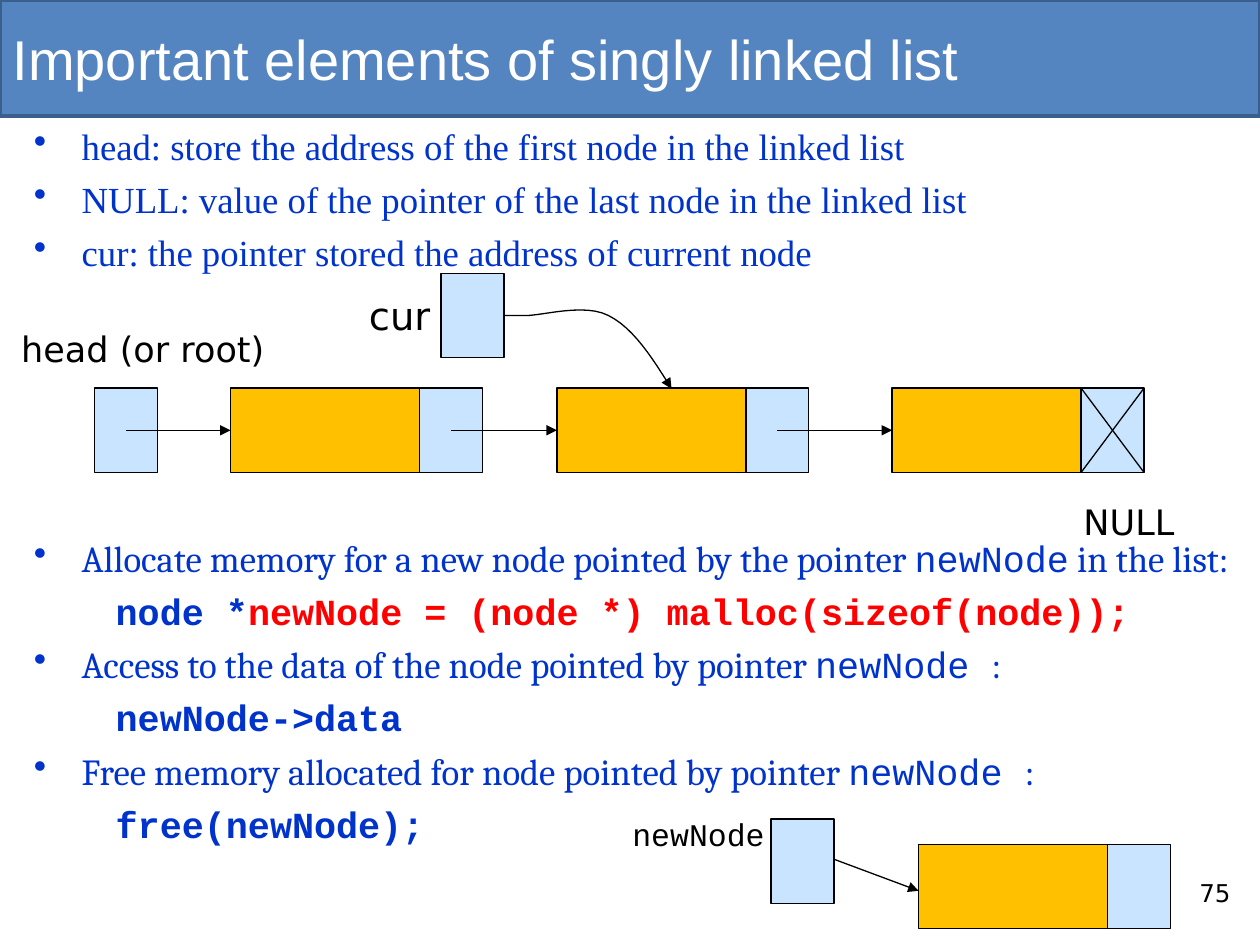
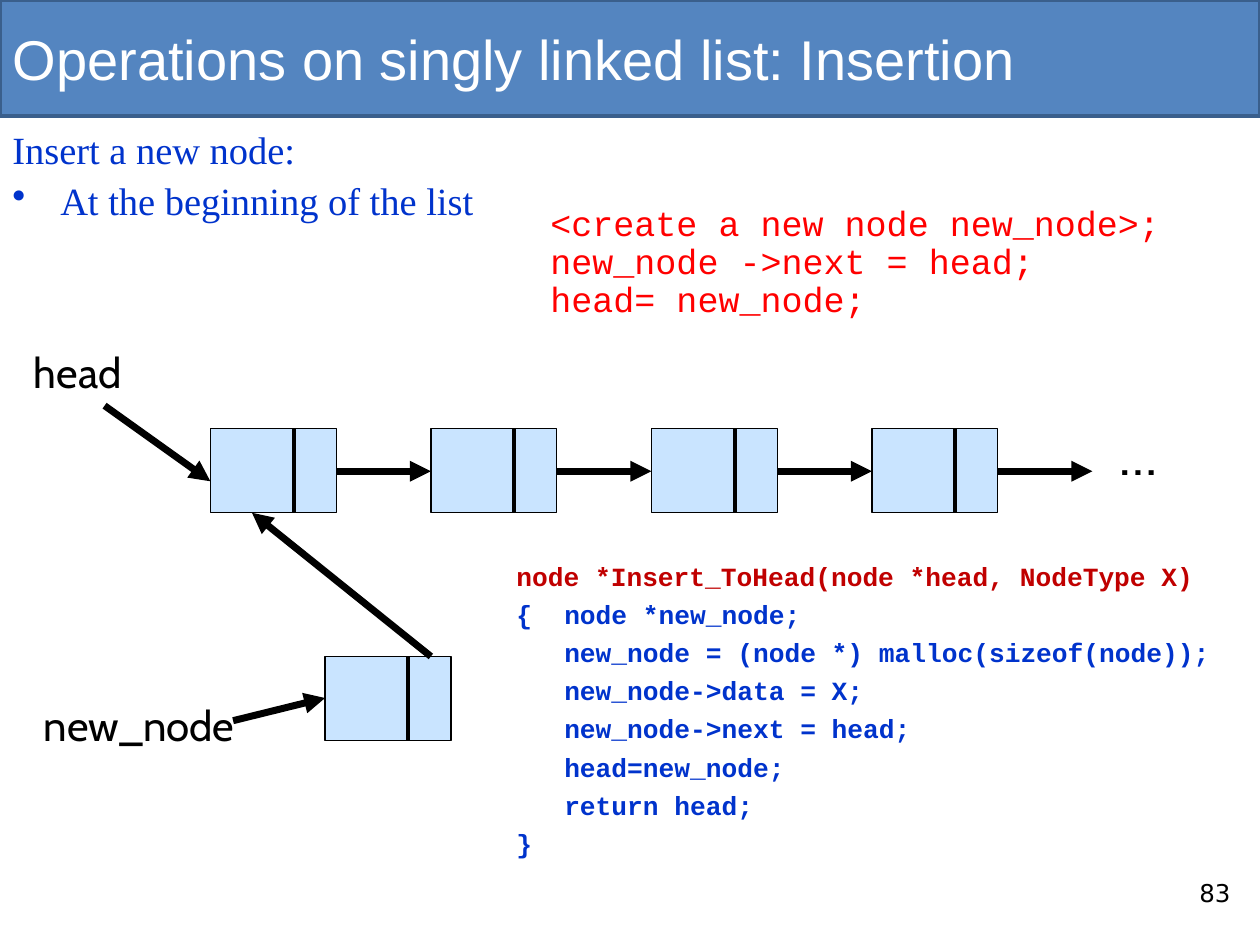
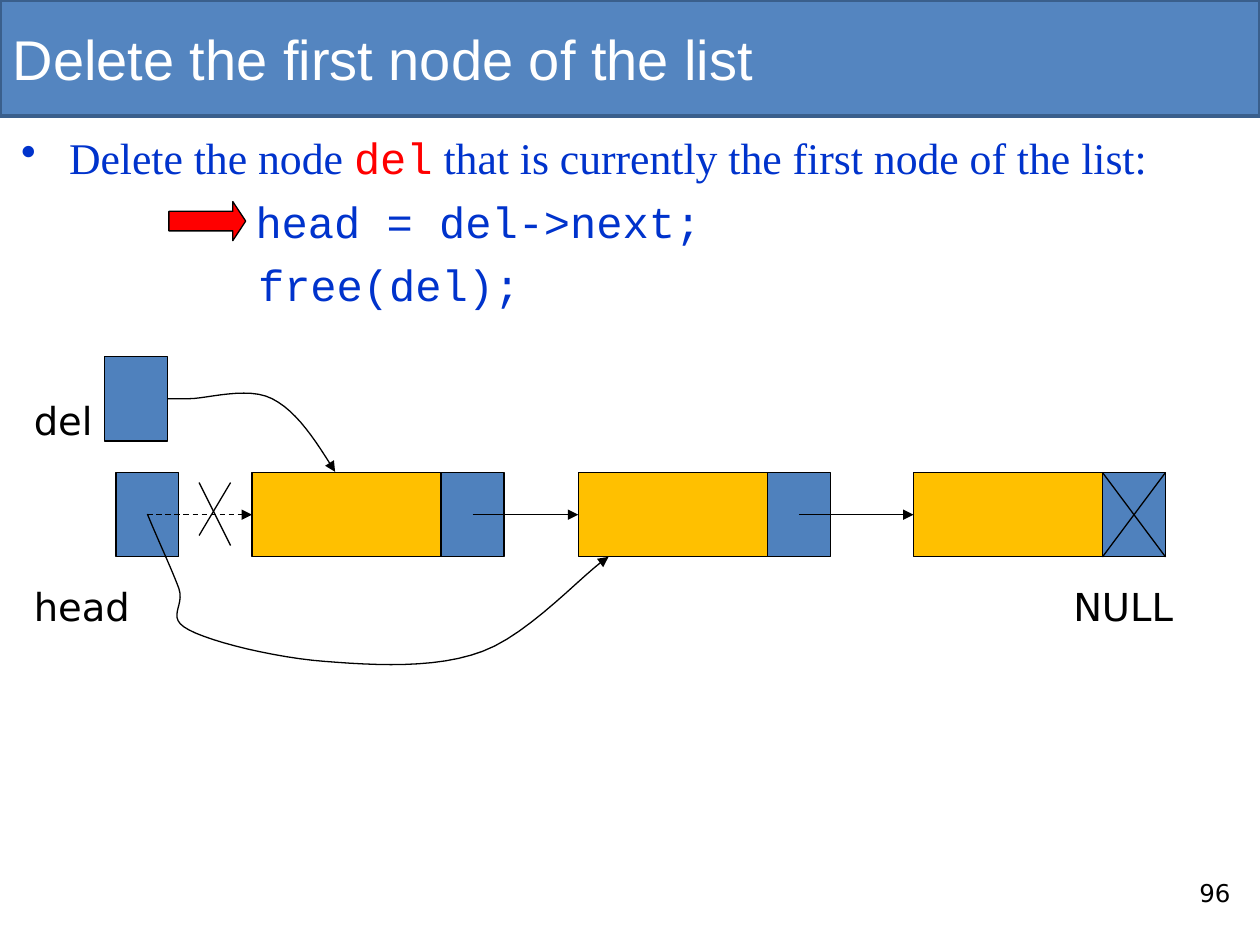
from dataclasses import dataclass
from itertools import pairwise

from lxml.etree import SubElement
from pptx import Presentation
from pptx.dml.color import RGBColor
from pptx.enum.dml import MSO_LINE
from pptx.enum.shapes import MSO_CONNECTOR, MSO_SHAPE
from pptx.enum.text import MSO_ANCHOR, PP_ALIGN
from pptx.oxml.ns import qn
from pptx.util import Inches, Pt

BAND, BAND_EDGE = "5485C0", "3A5F8C"
BLUE, RED, DARK_RED = "0033CC", "FF0000", "C00000"
BLACK, WHITE = "000000", "FFFFFF"
ORANGE, PALE, STEEL = "FFC000", "C9E4FF", "4F81BD"
SERIF, BOOK, MONO = "Times New Roman", "Cambria", "Courier New"
SANS, ROUND, TITLE = "DejaVu Sans", "Cabin", "Arial"

HANG = 0.38
BAND_BOX = (0, 0, 10, 0.92)
DATA_WIDTH, POINTER_WIDTH, NODE_HEIGHT = 1.5, 0.5, 0.67
NODE_OFFSETS = (1.08, 3.67, 6.33)
LINK_CURVE = [(0, 0), (0.01, 0), (0.03, 0), (0.17, 0), (0.31, 0), (0.64, -0.1),
              (0.83, 0), (1.03, 0.1), (1.18, 0.34), (1.33, 0.58)]
HEAD_CURVE = [(1.17, 4.08), (1.26, 4.3), (1.36, 4.51), (1.42, 4.67),
              (1.47, 4.82), (1.31, 4.9), (1.5, 5), (1.69, 5.1), (2.19, 5.22),
              (2.58, 5.25), (2.97, 5.28), (3.46, 5.31), (3.83, 5.17),
              (4.21, 5.03), (4.65, 4.53), (4.83, 4.42)]


@dataclass
class Run:
    text: str
    font: str = SERIF
    color: str = BLUE
    bold: bool = False


@dataclass
class Line:
    runs: list
    indent: float = 0
    hanging: float = 0
    bullet: bool = False


def rgb(color):
    return RGBColor.from_string(color)


def bulleted(*runs):
    return Line(runs, HANG, HANG, True)


def bezier_points(controls, steps=12):
    points = [controls[0]]
    for first in range(0, len(controls) - 1, 3):
        ends = controls[first:first + 4]
        for step in range(1, steps + 1):
            t = step / steps
            weights = ((1 - t) ** 3, 3 * t * (1 - t) ** 2, 3 * t * t * (1 - t), t ** 3)
            points.append(tuple(sum(w * end[axis] for w, end in zip(weights, ends))
                                for axis in (0, 1)))
    return points


class Deck:
    def __init__(self):
        self.presentation = Presentation()
        self.presentation.slide_width = Inches(10)
        self.presentation.slide_height = Inches(7.5)
        self.layout = self.presentation.slide_layouts[5]
        self.slide = None

    def start(self, title, number):
        first = self.slide is None
        self.slide = self.presentation.slides.add_slide(self.layout)
        if first:
            band = self.box(*BAND_BOX, BAND, BAND_EDGE, 2)
            self.layout.shapes.element.insert(2, band.element)
        shape = self.slide.shapes.title
        shape.left, shape.top, shape.width, shape.height = map(Inches, BAND_BOX)
        shape.text_frame.vertical_anchor = MSO_ANCHOR.MIDDLE
        paragraph = shape.text_frame.paragraphs[0]
        paragraph.alignment = PP_ALIGN.LEFT
        self.add_run(paragraph, Run(title, TITLE, WHITE), 32)
        self.label(9.42, 6.92, 0.5, 0.4, number, 14)

    def add_run(self, paragraph, content, size):
        run = paragraph.add_run()
        run.text = content.text
        run.font.name = content.font
        run.font.size = Pt(size)
        run.font.bold = content.bold
        run.font.color.rgb = rgb(content.color)

    def text(self, x, y, width, height, lines, size, spacing=None, gap=0.25):
        shape = self.slide.shapes.add_textbox(*map(Inches, (x, y, width, height)))
        frame = shape.text_frame
        frame.word_wrap = True
        for index, line in enumerate(lines):
            paragraph = frame.add_paragraph() if index else frame.paragraphs[0]
            properties = paragraph._p.get_or_add_pPr()
            properties.set("marL", str(Inches(line.indent)))
            properties.set("indent", str(Inches(-line.hanging)))
            if line.bullet:
                SubElement(properties, qn("a:buChar"), char="•")
            if index:
                paragraph.space_before = Pt(size * gap)
            if spacing:
                paragraph.line_spacing = spacing
            for run in line.runs:
                self.add_run(paragraph, run, size)

    def label(self, x, y, width, height, text, size, font=SANS):
        self.text(x, y, width, height, [Line([Run(text, font, BLACK)])], size)

    def box(self, x, y, width, height, fill, edge=BLACK, weight=0.75,
            kind=MSO_SHAPE.RECTANGLE):
        shape = self.slide.shapes.add_shape(kind, *map(Inches, (x, y, width, height)))
        shape.shadow.inherit = False
        shape.fill.solid()
        shape.fill.fore_color.rgb = rgb(fill)
        self.stroke(shape, weight, color=edge)
        return shape

    def stroke(self, shape, weight=0.75, arrow=False, dashed=False, color=BLACK):
        shape.line.color.rgb = rgb(color)
        shape.line.width = Pt(weight)
        if dashed:
            shape.line.dash_style = MSO_LINE.DASH
        if arrow:
            SubElement(shape.line._get_or_add_ln(), qn("a:tailEnd"), type="triangle")

    def line(self, start, end, weight=0.75, arrow=False, dashed=False):
        connector = self.slide.shapes.add_connector(
            MSO_CONNECTOR.STRAIGHT, *map(Inches, (*start, *end)))
        self.stroke(connector, weight, arrow, dashed)
        SubElement(connector._element.spPr, qn("a:effectLst"))

    def curve(self, controls):
        points = [tuple(map(Inches, point)) for point in bezier_points(controls)]
        builder = self.slide.shapes.build_freeform(*points[0])
        builder.add_line_segments(points[1:], close=False)
        shape = builder.convert_to_shape()
        shape.shadow.inherit = False
        shape.fill.background()
        self.stroke(shape, arrow=True)

    def pointer(self, x, y, fill):
        self.box(x, y, POINTER_WIDTH, NODE_HEIGHT, fill)

    def node(self, x, y, fill):
        self.box(x, y, DATA_WIDTH, NODE_HEIGHT, ORANGE)
        self.pointer(x + DATA_WIDTH, y, fill)

    def linked_list(self, x, y, fill, head_dashed=False):
        nodes = [x + offset for offset in NODE_OFFSETS]
        self.pointer(x, y, fill)
        for node in nodes:
            self.node(node, y, fill)
        middle = y + NODE_HEIGHT / 2
        pointers = [x] + [node + DATA_WIDTH for node in nodes]
        for index, (pointer, node) in enumerate(zip(pointers, nodes)):
            self.line((pointer + POINTER_WIDTH / 2, middle), (node, middle),
                      arrow=True, dashed=head_dashed and index == 0)
        left, right, bottom = pointers[-1], pointers[-1] + POINTER_WIDTH, y + NODE_HEIGHT
        self.line((left, y), (right, bottom))
        self.line((right, y), (left, bottom))

    def linked_pointer(self, x, y, fill):
        self.pointer(x, y, fill)
        self.curve([(x + POINTER_WIDTH + dx, y + NODE_HEIGHT / 2 + dy)
                    for dx, dy in LINK_CURVE])

    def split_node(self, x, y):
        self.box(x, y, 1, NODE_HEIGHT, PALE)
        self.line((x + 0.66, y), (x + 0.66, y + NODE_HEIGHT), 2.25)

    def save(self):
        self.presentation.save("out.pptx")


def elements_slide(deck):
    deck.start("Important elements of singly linked list", "75")
    deck.text(0.17, 0.93, 9.75, 1.3, [bulleted(Run(text)) for text in (
        "head: store the address of the first node in the linked list",
        "NULL: value of the pointer of the last node in the linked list",
        "cur: the pointer stored the address of current node")], 21)

    def explain(before, name, after):
        return bulleted(Run(before, BOOK), Run(name, MONO), Run(after, BOOK))

    def statement(text, *more):
        return Line([Run(text, MONO, bold=True), *more], 0.65)

    deck.text(0.17, 4.2, 9.75, 2.6, [
        explain("Allocate memory for a new node pointed by the pointer ",
                "newNode", " in the list:"),
        statement("node *", Run("newNode = (node *) malloc(sizeof(node));",
                                MONO, RED, True)),
        explain("Access to the data of the node pointed by pointer ", "newNode ", ":"),
        statement("newNode->data"),
        explain("Free memory allocated for node pointed by pointer ", "newNode ", ":"),
        statement("free(newNode);")], 21)
    deck.linked_list(0.75, 3.08, PALE)
    deck.linked_pointer(3.5, 2.17, PALE)
    deck.label(8.5, 3.92, 1.08, 0.44, "NULL", 20)
    deck.label(0.07, 2.55, 3.33, 0.44, "head (or root)", 20)
    deck.label(2.83, 2.27, 1.08, 0.47, "cur", 22)
    deck.label(4.92, 6.42, 1.58, 0.4, "newNode", 18, MONO)
    deck.node(7.29, 6.7, PALE)
    deck.pointer(6.12, 6.5, PALE)
    deck.line((6.62, 6.82), (7.29, 7.07), arrow=True)


def insertion_slide(deck):
    deck.start("Operations on singly linked list: Insertion", "83")
    deck.text(0, 0.99, 9.92, 1.68, [
        Line([Run("Insert a new node:")]),
        bulleted(Run("At the beginning of the list"))], 22, 0.9)
    deck.text(3.27, 1.59, 6.57, 1.01, [Line([Run(text, MONO, RED)], 1) for text in (
        "<create a new node new_node>;",
        "new_node ->next = head;",
        "head= new_node;")], 20, 0.9, 0)
    node_lefts = [1.67 + 1.75 * index for index in range(5)]
    for left in node_lefts[:-1]:
        deck.split_node(left, 3.4)
    for left, following in pairwise(node_lefts):
        deck.line((left + 1, 3.74), (following, 3.74), 4, True)
    deck.split_node(2.58, 5.21)
    for start, end in (((0.83, 3.22), (1.67, 3.82)),
                       ((1.85, 5.72), (2.58, 5.54)),
                       ((3.42, 5.21), (2, 4.07))):
        deck.line(start, end, 4, True)
    deck.label(0.17, 2.7, 1.5, 0.5, "head", 24, ROUND)
    deck.label(0.25, 5.5, 1.83, 0.5, "new_node", 24, ROUND)
    deck.label(8.79, 3.28, 1.17, 0.63, "…", 32, ROUND)
    signature = Run("node *Insert_ToHead(node *head, NodeType X)", MONO, DARK_RED, True)
    body = [Run(text, MONO, bold=True) for text in (
        "{\tnode *new_node;",
        "\tnew_node = (node *) malloc(sizeof(node));",
        "\tnew_node->data = X;",
        "\tnew_node->next = head;",
        "\thead=new_node;",
        "\treturn head;",
        "}")]
    deck.text(4, 4.4, 5.92, 2.43,
              [Line([run], HANG, HANG) for run in (signature, *body)], 15)


def deletion_slide(deck):
    deck.start("Delete the first node of the list", "96")
    deck.text(0.07, 0.99, 9.84, 1.6, [
        bulleted(Run("Delete the node "), Run("del", MONO, RED),
                 Run(" that is currently the first node of the list:")),
        Line([Run("head = del->next;", MONO)], 1.86),
        Line([Run("free(del);", MONO)], 1.88)], 25)
    deck.linked_list(0.92, 3.75, STEEL, head_dashed=True)
    deck.linked_pointer(0.83, 2.83, STEEL)
    deck.label(8.42, 4.58, 1.17, 0.47, "NULL", 22)
    deck.label(0.17, 4.58, 1.08, 0.47, "head", 22)
    deck.label(0.17, 3.1, 1.08, 0.47, "del", 22)
    deck.line((1.58, 3.83), (1.83, 4.33))
    deck.line((1.83, 3.83), (1.58, 4.25))
    deck.curve(HEAD_CURVE)
    marker = deck.box(1.34, 1.6, 0.61, 0.31, RED, kind=MSO_SHAPE.RIGHT_ARROW)
    marker.adjustments[1] = 0.33


def main():
    deck = Deck()
    elements_slide(deck)
    insertion_slide(deck)
    deletion_slide(deck)
    deck.save()


if __name__ == "__main__":
    main()
